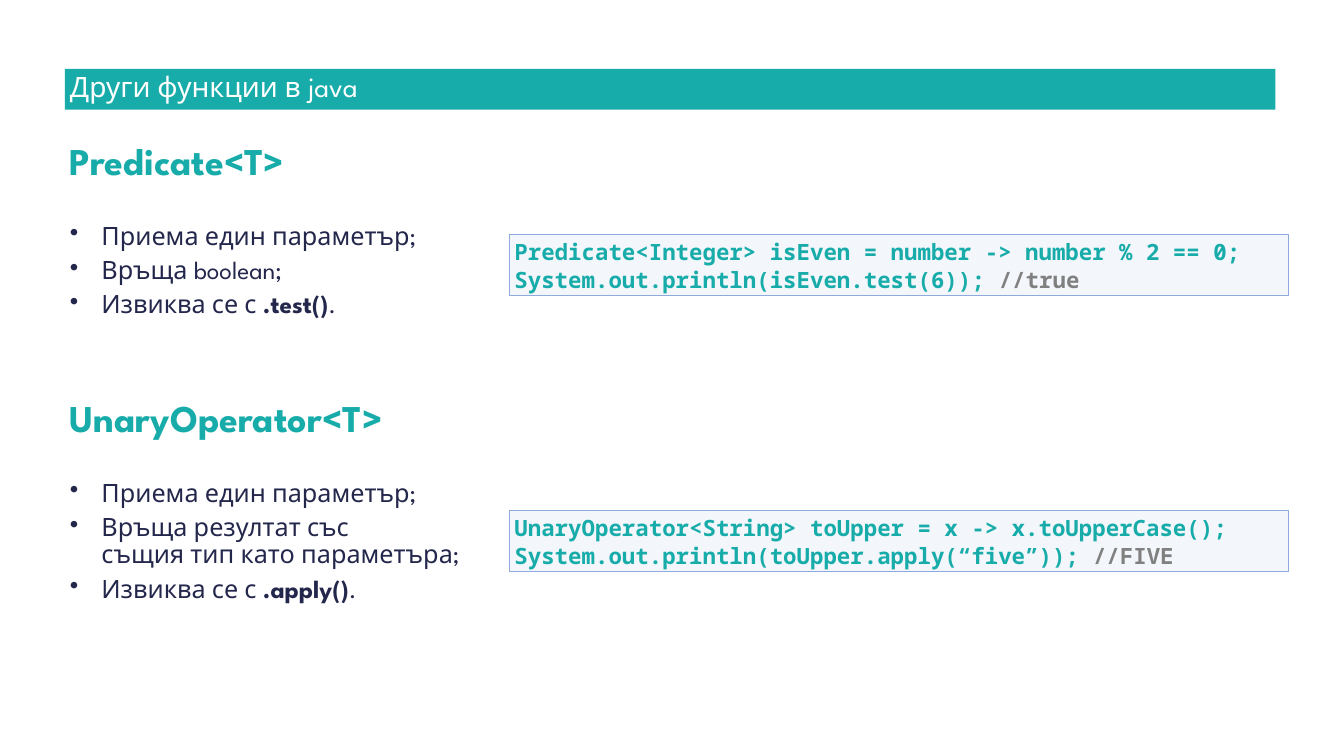
import pptx
import pptx.dml.color
import pptx.enum.shapes
import pptx.enum.text
import pptx.oxml
import pptx.oxml.ns
import pptx.util

Pt = pptx.util.Pt
TEAL, NAVY, GREY, WHITE = "17ACA9", "24274C", "808080", "FFFFFF"
SPARTAN, MONO = "League Spartan", "Noto Sans Mono"
LEFT = 92.8
HEADING = {"name": SPARTAN, "size": Pt(54), "bold": True, "color": TEAL}
BODY = {"name": SPARTAN, "size": Pt(36), "bold": False, "color": NAVY}
CODE = {"name": MONO, "size": Pt(32), "bold": True, "color": TEAL}
STRONG = {**BODY, "bold": True}
COMMENT = {**CODE, "color": GREY}

SECTIONS = [
    {
        "heading": "Predicate<T>",
        "top": 200.2,
        "body_height": 164.2,
        "code_top": 334.1,
        "bullets": [
            [("Приема един параметър;", BODY)],
            [("Връща boolean;", BODY)],
            [("Извиква се с ", BODY), (".test()", STRONG), (".", BODY)],
        ],
        "code": [
            [("Predicate<Integer> isEven = number -> number % 2 == 0;", CODE)],
            [("System.out.println(isEven.test(6)); ", CODE), ("//true", COMMENT)],
        ],
    },
    {
        "heading": "UnaryOperator<T>",
        "top": 567.4,
        "body_height": 180,
        "code_top": 728.6,
        "bullets": [
            [("Приема един параметър;", BODY)],
            [("Връща резултат със ", BODY), ("\n", BODY), ("същия тип като параметъра;", BODY)],
            [("Извиква се с ", BODY), (".apply()", STRONG), (".", BODY)],
        ],
        "code": [
            [("UnaryOperator<String> toUpper = x -> x.toUpperCase();", CODE)],
            [("System.out.println(toUpper.apply(“five”)); ", CODE), ("//FIVE", COMMENT)],
        ],
    },
]


def rgb(value):
    """Turn a hex string into a colour."""
    return pptx.dml.color.RGBColor.from_string(value)


def add_xml(parent, tag, **attributes):
    """Append a DrawingML element and return it."""
    child = pptx.oxml.parse_xml(f"<{tag} {pptx.oxml.ns.nsdecls('a')}/>")
    for name, value in attributes.items():
        child.set(name, str(value))
    parent.append(child)
    return child


def add_bullet(p):
    """Give a paragraph a hanging navy bullet."""
    pPr = p._p.get_or_add_pPr()
    pPr.set("marL", str(Pt(45)))
    pPr.set("indent", str(Pt(-45)))
    add_xml(add_xml(pPr, "a:buClr"), "a:srgbClr", val=NAVY)
    add_xml(pPr, "a:buChar", char="•")


def write(tf, paragraphs, line_spacing=0.9, gap=0, bullets=False):
    """Fill a text frame with paragraphs made of (text, format) parts."""
    frame = {
        "word_wrap": True,
        "auto_size": pptx.enum.text.MSO_AUTO_SIZE.NONE,
        "margin_left": Pt(7.2),
        "margin_right": Pt(7.2),
        "margin_top": Pt(3.6),
        "margin_bottom": Pt(3.6),
    }
    for name, value in frame.items():
        setattr(tf, name, value)
    for i, parts in enumerate(paragraphs):
        p = tf.add_paragraph() if i else tf.paragraphs[0]
        if bullets:
            add_bullet(p)
        p.alignment = pptx.enum.text.PP_ALIGN.LEFT
        p.line_spacing = line_spacing
        p.space_before = Pt(gap if i else 0)
        for text, style in parts:
            if text == "\n":
                p.add_line_break()
                continue
            r = p.add_run()
            r.text = text
            for name, value in style.items():
                if name == "color":
                    r.font.color.rgb = rgb(value)
                else:
                    setattr(r.font, name, value)


def add_rect(s, box, fill):
    """Add a flat filled rectangle without an outline."""
    sp = s.shapes.add_shape(pptx.enum.shapes.MSO_SHAPE.RECTANGLE, *map(Pt, box))
    sp.shadow.inherit = False
    sp.fill.solid()
    sp.fill.fore_color.rgb = rgb(fill)
    sp.line.fill.background()
    return sp


def add_title(s, text, box):
    """Place the title on a teal bar."""
    x, y, w, h = box
    bar = add_rect(s, box, TEAL)
    title = s.shapes.title
    title.element.addprevious(bar.element)
    place = {"left": x, "top": y - 0.4, "width": w, "height": h - 1.4}
    for name, value in place.items():
        setattr(title, name, Pt(value))
    title.text_frame.vertical_anchor = pptx.enum.text.MSO_ANCHOR.MIDDLE
    style = {"name": SPARTAN, "size": Pt(40), "bold": False, "color": WHITE}
    write(title.text_frame, [[(text, style)]])


def add_code(s, lines, box):
    """Add a pale outlined box of code."""
    sp = add_rect(s, box, "B4C7E7")
    color = sp.element.spPr.find(pptx.oxml.ns.qn("a:solidFill"))[0]
    add_xml(color, "a:alpha", val=15000)
    sp.line.color.rgb = rgb("8FAADC")
    sp.line.width = Pt(1)
    sp.text_frame.vertical_anchor = pptx.enum.text.MSO_ANCHOR.TOP
    write(sp.text_frame, lines, line_spacing=1.05)


def add_section(s, section, box):
    """Add a heading, its bullets and its code example."""
    x, y, w, h = box
    heading = s.shapes.add_textbox(*map(Pt, (x, y, w, 67.7)))
    write(heading.text_frame, [[(section["heading"], HEADING)]])
    body = s.shapes.add_textbox(*map(Pt, (x, y + 115.9, w, h - 115.9)))
    write(body.text_frame, section["bullets"], gap=10, bullets=True)
    add_code(s, section["code"], (x + 635.1, section["code_top"], 1112.4, 87.8))


def main():
    """Build and save the slide."""
    prs = pptx.Presentation()
    prs.slide_width, prs.slide_height = Pt(1920.24), Pt(1080)
    s = prs.slides.add_slide(prs.slide_layouts[5])
    add_title(s, "Други функции в java", (LEFT, 98.3, 1729.4, 58.3))
    for section in SECTIONS:
        add_section(s, section, (LEFT, section["top"], 1726.6, 115.9 + section["body_height"]))
    prs.save("out.pptx")


if __name__ == "__main__":
    main()
